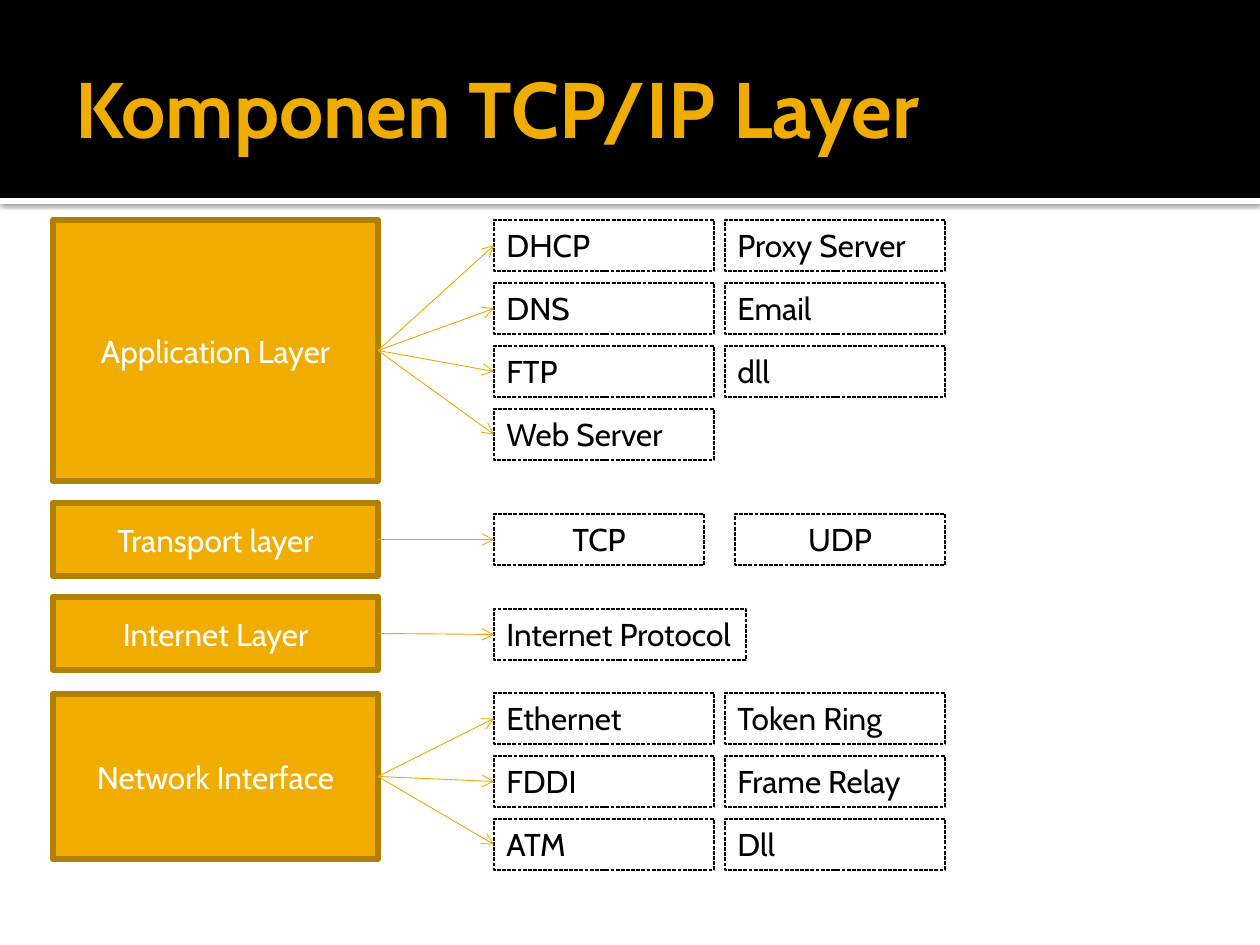
import pptx
import pptx.util
import pptx.dml.color
import pptx.enum.dml
import pptx.enum.shapes
import pptx.enum.text
import pptx.oxml
import pptx.oxml.ns

RGB = pptx.dml.color.RGBColor
GOLD = RGB(0xF0, 0xAD, 0x00)
BROWN = RGB(0xB2, 0x80, 0x00)
AMBER = RGB(0xEB, 0xA9, 0x00)
BLACK = RGB(0, 0, 0)
WHITE = RGB(0xFF, 0xFF, 0xFF)
Pt = pptx.util.Pt
ALIGN = pptx.enum.text.PP_ALIGN
ANCHOR = pptx.enum.text.MSO_ANCHOR
NS = pptx.oxml.ns.nsdecls("a")
SCALE = 914400 / 126


def rect(x, y, w, h, fill=None, line=None, width=0.75):
    place = [round(n * SCALE) for n in (x, y, w, h)]
    shape = slide.shapes.add_shape(pptx.enum.shapes.MSO_SHAPE.RECTANGLE, *place)
    shape.shadow.inherit = False
    if fill is None:
        shape.fill.background()
    else:
        shape.fill.solid()
        shape.fill.fore_color.rgb = fill
    if line is None:
        shape.line.fill.background()
    else:
        shape.line.color.rgb = line
        shape.line.width = Pt(width)
    return shape


def write(shape, text, size, color, align, anchor, bold=False):
    frame = shape.text_frame
    frame.word_wrap = True
    frame.vertical_anchor = anchor
    para = frame.paragraphs[0]
    para.alignment = align
    run = para.add_run()
    run.text = text
    run.font.name = "Cabin"
    run.font.size = Pt(size)
    run.font.bold = bold
    run.font.color.rgb = color


deck = pptx.Presentation()
deck.slide_width = round(1260 * SCALE)
deck.slide_height = round(945 * SCALE)
slide = deck.slides.add_slide(deck.slide_layouts[6])

strip = rect(0, 198, 1260, 6, WHITE)
glow = pptx.oxml.parse_xml(
    f'<a:outerShdw {NS} blurRad="31750" dist="10160" dir="5400000" rotWithShape="0">'
    '<a:srgbClr val="000000"><a:alpha val="60000"/></a:srgbClr></a:outerShdw>')
strip._element.spPr.find(pptx.oxml.ns.qn("a:effectLst")).append(glow)
rect(0, 0, 1260, 198, BLACK)

title = slide.shapes.add_textbox(*[round(n * SCALE) for n in (63, 21, 1134, 173)])
write(title, "Komponen TCP/IP Layer", 45, GOLD, ALIGN.LEFT, ANCHOR.MIDDLE, True)
title.text_frame.margin_right = Pt(3.6)

LEFT, ROW = 494, 63
LAYERS = [
    ("Application Layer", 220, 261, 220, 220, 231, ALIGN.LEFT,
     [["DHCP", "DNS", "FTP", "Web Server"], ["Proxy Server", "Email", "dll"]]),
    ("Transport layer", 503, 73, 514, 210, 241, ALIGN.CENTER, [["TCP"], ["UDP"]]),
    ("Internet Layer", 597, 73, 609, 252, 0, ALIGN.LEFT, [["Internet Protocol"]]),
    ("Network Interface", 694, 165, 693, 220, 231, ALIGN.LEFT,
     [["Ethernet", "FDDI", "ATM"], ["Token Ring", "Frame Relay", "Dll"]]),
]

for name, top, high, start, wide, step, align, cols in LAYERS:
    layer = rect(53, top, 325, high, GOLD, BROWN, 3.78)
    write(layer, name, 18, WHITE, ALIGN.CENTER, ANCHOR.MIDDLE)
    for col, items in enumerate(cols):
        for row, item in enumerate(items):
            box = rect(LEFT + col * step, start + row * ROW, wide, 51, None, BLACK)
            box.line.dash_style = pptx.enum.dml.MSO_LINE.SQUARE_DOT
            write(box, item, 18, BLACK, align, ANCHOR.TOP)
            box.text_frame.auto_size = pptx.enum.text.MSO_AUTO_SIZE.SHAPE_TO_FIT_TEXT
            if col == 0:
                arrow = slide.shapes.add_connector(
                    pptx.enum.shapes.MSO_CONNECTOR.STRAIGHT, 0, 0, 0, 0)
                arrow.begin_connect(layer, 3)
                arrow.end_connect(box, 1)
                arrow.line.color.rgb = AMBER
                arrow.line.width = Pt(0.5)
                arrow.line._get_or_add_ln().append(
                    pptx.oxml.parse_xml(f'<a:tailEnd {NS} type="arrow"/>'))
                arrow._element.spPr.append(
                    pptx.oxml.parse_xml(f"<a:effectLst {NS}/>"))

deck.save("out.pptx")
